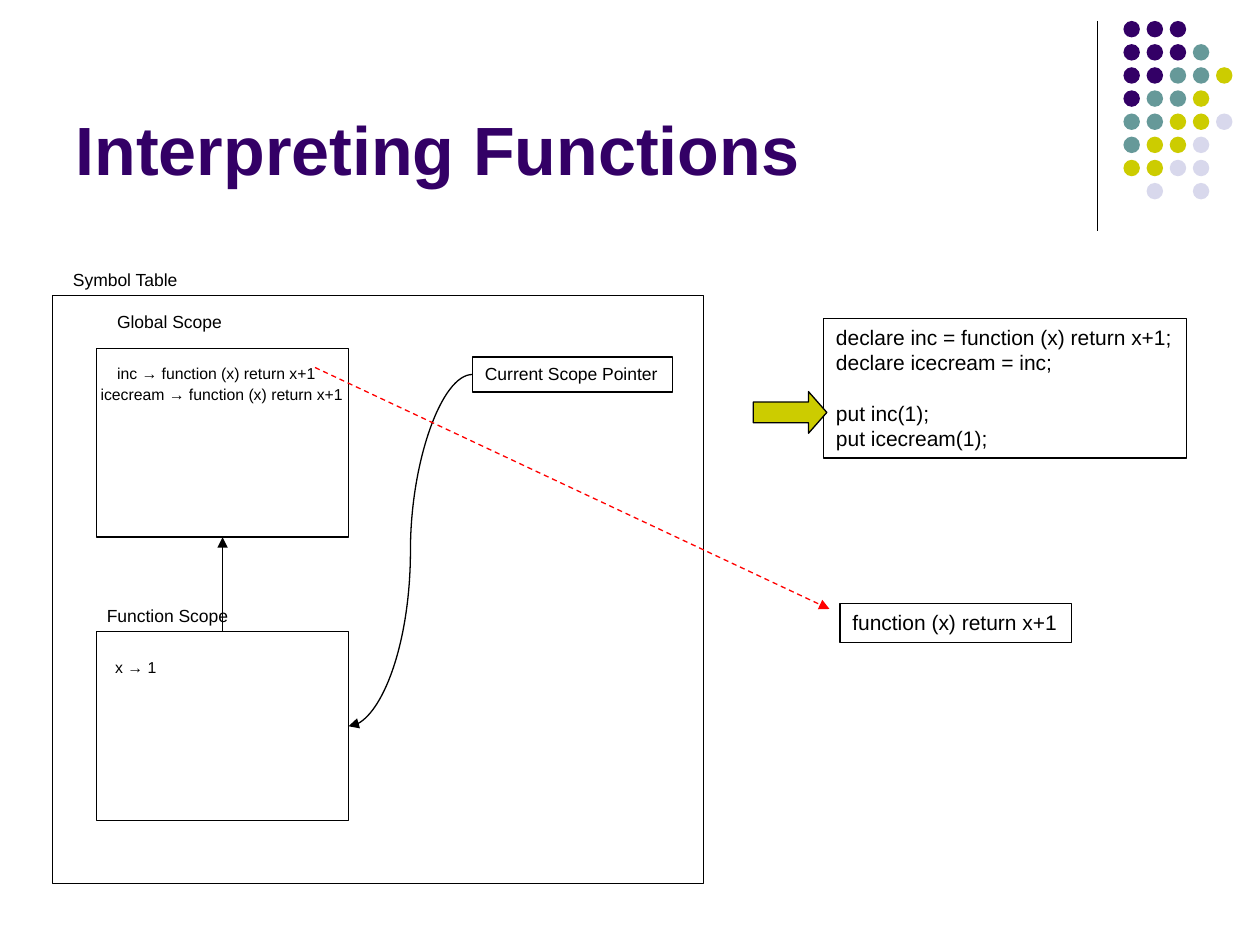
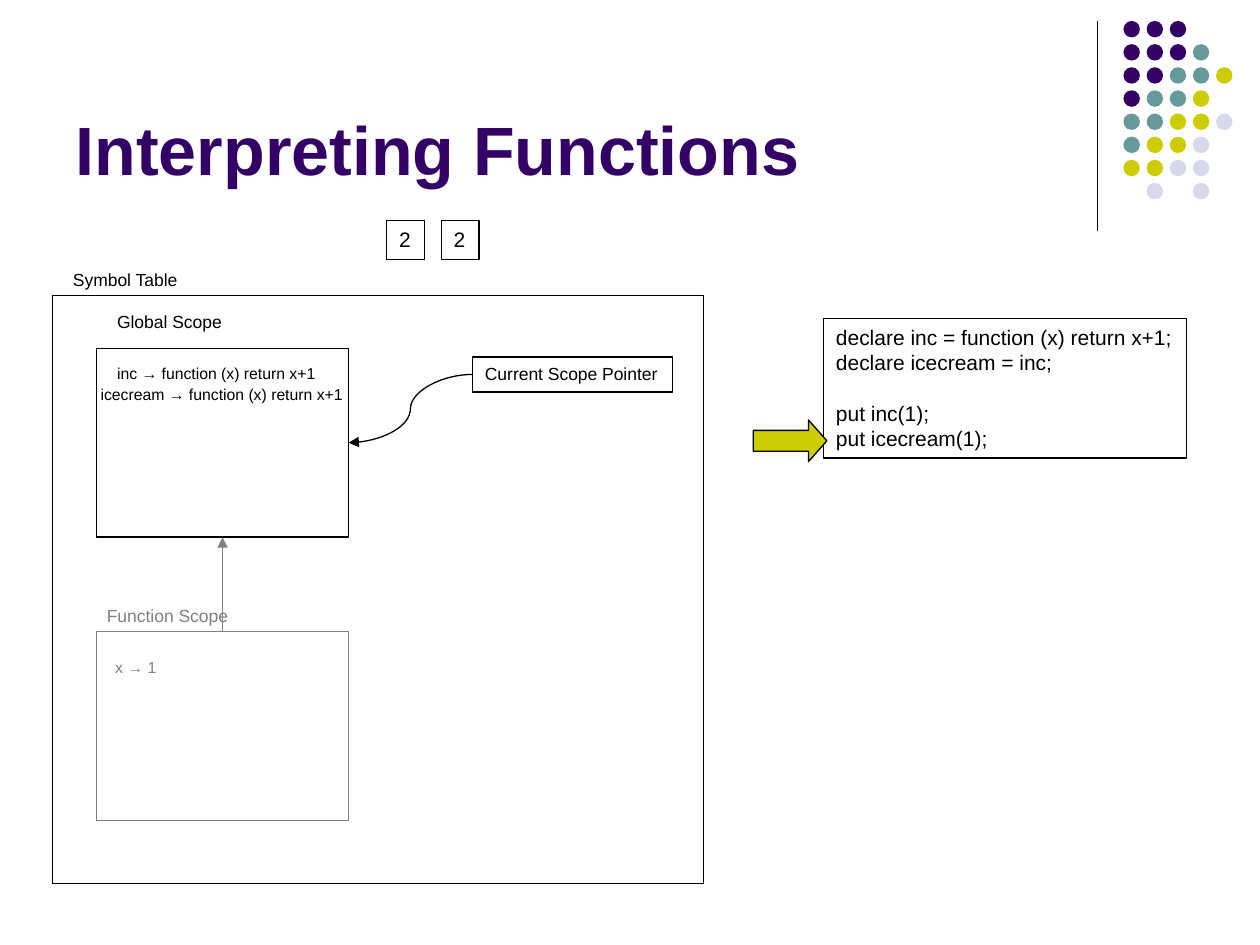
from typing import NamedTuple

from lxml import etree
from pptx import Presentation
from pptx.dml.color import RGBColor
from pptx.enum import dml, shapes, text
from pptx.oxml import ns
from pptx.util import Pt

COLORS = {
    "ink": "000000",
    "faded": "808080",
    "purple": "330066",
    "teal": "669999",
    "lime": "CCCC00",
    "lavender": "D8D8EC",
    "red": "FF0000",
}
FONT = "Arial"
HAIRLINE = Pt(0.75)
TOP, LEFT, BOTTOM, RIGHT = range(4)  # connection sites of a rectangle

DOT_ROWS = ["PPP", "PPPT", "PPTTY", "PTTY", "TTYYL", "TYYL", "YYLL", " L L"]
DOT_COLORS = {"P": "purple", "T": "teal", "Y": "lime", "L": "lavender"}
DOT_LEFT, DOT_TOP, DOT_PITCH, DOT_SIZE = 642, 12, 13.22, 9.4

CODE = [
    "declare inc = function (x) return x+1;",
    "declare icecream = inc;",
    "put inc(1);",
    "put icecream(1);",
]
FIRST_CALL = 2  # line of CODE that follows a gap
CODE_GAP = 14.6


class Box(NamedTuple):
    left: float
    top: float
    width: float
    height: float
    text: str = ""
    size: float = 10
    color: str = "ink"
    outlined: bool = False


class Step(NamedTuple):
    """One moment of the program run."""
    arrow_top: float
    in_function: bool
    outputs: list[str]


SYMBOL_TABLE = Box(30, 168.8, 372, 336, outlined=True)
GLOBAL_SCOPE = Box(55.2, 199, 144, 108, outlined=True)
FUNCTION_SCOPE = GLOBAL_SCOPE._replace(top=361)
SCOPE_POINTER = Box(270, 204, 114.5, 20, "Current Scope Pointer", outlined=True)
PROGRAM = Box(470.6, 181.9, 207.4, 79.9, "\n".join(CODE), 12, outlined=True)
FUNCTION_BODY = Box(480, 344.9, 132.5, 22.3, "function (x) return x+1", 12, outlined=True)
OUTPUT = Box(221, 126, 21.6, 22.3, size=12, outlined=True)
OUTPUT_PITCH = 31.2

GLOBAL_TEXTS = [
    Box(34.6, 150.2, 75.6, 19.4, "Symbol Table"),
    Box(59.8, 174.2, 74.2, 19.4, "Global Scope"),
    Box(59.8, 204.5, 132, 18, "inc → function (x) return x+1", 9),
    Box(50.4, 216.4, 156, 18, "icecream → function (x) return x+1", 9),
]
FUNCTION_TEXTS = [
    Box(54, 342, 86.4, 19.4, "Function Scope"),
    Box(58.7, 372.2, 40, 18, "x → 1", 9),
]

STEPS = [
    Step(arrow_top=223.8, in_function=True, outputs=[]),
    Step(arrow_top=240, in_function=False, outputs=["2", "2"]),
]


def rgb(name: str) -> RGBColor:
    return RGBColor.from_string(COLORS[name])


def style_text(para, size: float, color: str, bold: bool = False) -> None:
    para.alignment = text.PP_ALIGN.LEFT
    for span in para.runs:
        span.font.name = FONT
        span.font.size = Pt(size)
        span.font.bold = bold
        span.font.color.rgb = rgb(color)


def add_box(page, box: Box):
    """Draw an outlined box that fits its text, or a plain label of fixed size."""
    place = [Pt(length) for length in box[:4]]
    if box.outlined:
        shape = page.shapes.add_shape(shapes.MSO_SHAPE.RECTANGLE, *place)
        shape.shadow.inherit = False
        shape.fill.background()
        shape.line.color.rgb = rgb(box.color)
        shape.line.width = HAIRLINE
    else:
        shape = page.shapes.add_textbox(*place)
    if box.text:
        sizing = text.MSO_AUTO_SIZE
        frame = shape.text_frame
        frame.text = box.text
        frame.word_wrap = not box.outlined
        frame.auto_size = sizing.SHAPE_TO_FIT_TEXT if box.outlined else sizing.NONE
        frame.vertical_anchor = text.MSO_ANCHOR.TOP
        for para in frame.paragraphs:
            style_text(para, box.size, box.color)
    return shape


def add_line(page, start, end, color: str = "ink", kind=shapes.MSO_CONNECTOR.STRAIGHT,
             dashed: bool = False, arrow: bool = True):
    line = page.shapes.add_connector(kind, *map(Pt, start), *map(Pt, end))
    line.line.color.rgb = rgb(color)
    line.line.width = HAIRLINE
    if dashed:
        line.line.dash_style = dml.MSO_LINE.DASH
    properties = line.element.spPr
    if arrow:
        outline = properties.find(ns.qn("a:ln"))
        etree.SubElement(outline, ns.qn("a:tailEnd"), type="triangle")
    etree.SubElement(properties, ns.qn("a:effectLst"))
    return line


def link(page, source, source_site: int, target, target_site: int, color: str = "ink",
         kind=shapes.MSO_CONNECTOR.STRAIGHT) -> None:
    line = add_line(page, (0, 0), (0, 0), color, kind)
    line.begin_connect(source, source_site)
    line.end_connect(target, target_site)


def add_dots(page):
    group = page.shapes.add_group_shape()
    for row, codes in enumerate(DOT_ROWS):
        for column, code in enumerate(codes):
            if code not in DOT_COLORS:
                continue
            dot = group.shapes.add_shape(
                shapes.MSO_SHAPE.OVAL,
                Pt(DOT_LEFT + column * DOT_PITCH), Pt(DOT_TOP + row * DOT_PITCH),
                Pt(DOT_SIZE), Pt(DOT_SIZE))
            dot.shadow.inherit = False
            dot.fill.solid()
            dot.fill.fore_color.rgb = rgb(DOT_COLORS[code])
            dot.line.fill.background()
    return group


def decorate_layout(layout, page) -> None:
    """Draw the rule and dots on a page, then move them to its layout."""
    rule = add_line(page, (627, 12), (627, 132), arrow=False)
    tree = layout.shapes.element
    for decoration in (rule, add_dots(page)):
        tree.append(decoration.element)
    for number, properties in enumerate(tree.xpath(".//p:cNvPr"), 1):
        properties.set("id", str(number))


def set_title(page, words: str) -> None:
    title = page.shapes.title
    title.left, title.top, title.width, title.height = Pt(36), Pt(9.9), Pt(594), Pt(102)
    frame = title.text_frame
    frame.text = words
    frame.auto_size = text.MSO_AUTO_SIZE.NONE
    frame.vertical_anchor = text.MSO_ANCHOR.BOTTOM
    style_text(frame.paragraphs[0], 39, "purple", bold=True)


def add_program(page, arrow_top: float) -> None:
    program = add_box(page, PROGRAM)
    program.text_frame.paragraphs[FIRST_CALL].space_before = Pt(CODE_GAP)
    arrow = page.shapes.add_shape(
        shapes.MSO_SHAPE.RIGHT_ARROW, Pt(430.5), Pt(arrow_top), Pt(42), Pt(23.8))
    arrow.adjustments[1] = 0.44
    arrow.shadow.inherit = False
    arrow.fill.solid()
    arrow.fill.fore_color.rgb = rgb("lime")
    arrow.line.color.rgb = rgb("ink")
    arrow.line.width = HAIRLINE


def build_step(page, step: Step) -> None:
    set_title(page, "Interpreting Functions")
    function_color = "ink" if step.in_function else "faded"
    add_box(page, SYMBOL_TABLE)
    global_scope = add_box(page, GLOBAL_SCOPE)
    function_scope = add_box(page, FUNCTION_SCOPE._replace(color=function_color))
    pointer = add_box(page, SCOPE_POINTER)
    link(page, function_scope, TOP, global_scope, BOTTOM, function_color)
    link(page, pointer, LEFT, function_scope if step.in_function else global_scope, RIGHT,
         kind=shapes.MSO_CONNECTOR.CURVE)
    for label in GLOBAL_TEXTS:
        add_box(page, label)
    for label in FUNCTION_TEXTS:
        add_box(page, label._replace(color=function_color))
    add_program(page, step.arrow_top)
    if step.in_function:
        add_box(page, FUNCTION_BODY)
        add_line(page, (180, 210), (474, 348), "red", dashed=True)
    for index, value in enumerate(step.outputs):
        add_box(page, OUTPUT._replace(left=OUTPUT.left + index * OUTPUT_PITCH, text=value))


def main() -> None:
    deck = Presentation()
    deck.slide_width, deck.slide_height = Pt(720), Pt(540)
    layout = deck.slide_layouts.get_by_name("Title Only")
    pages = [deck.slides.add_slide(layout) for _ in STEPS]
    decorate_layout(layout, pages[0])
    for page, step in zip(pages, STEPS):
        build_step(page, step)
    deck.save("out.pptx")


if __name__ == "__main__":
    main()
